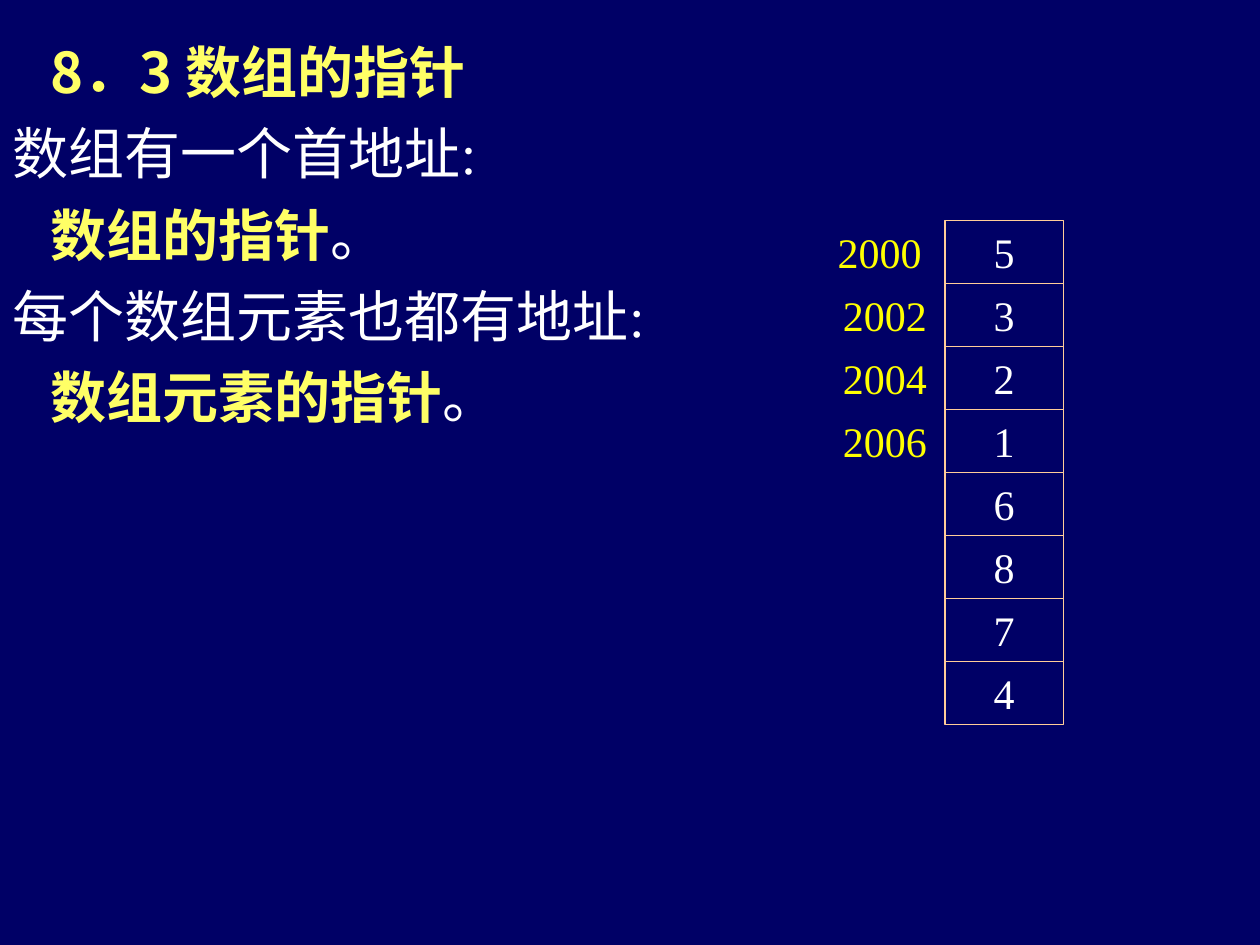
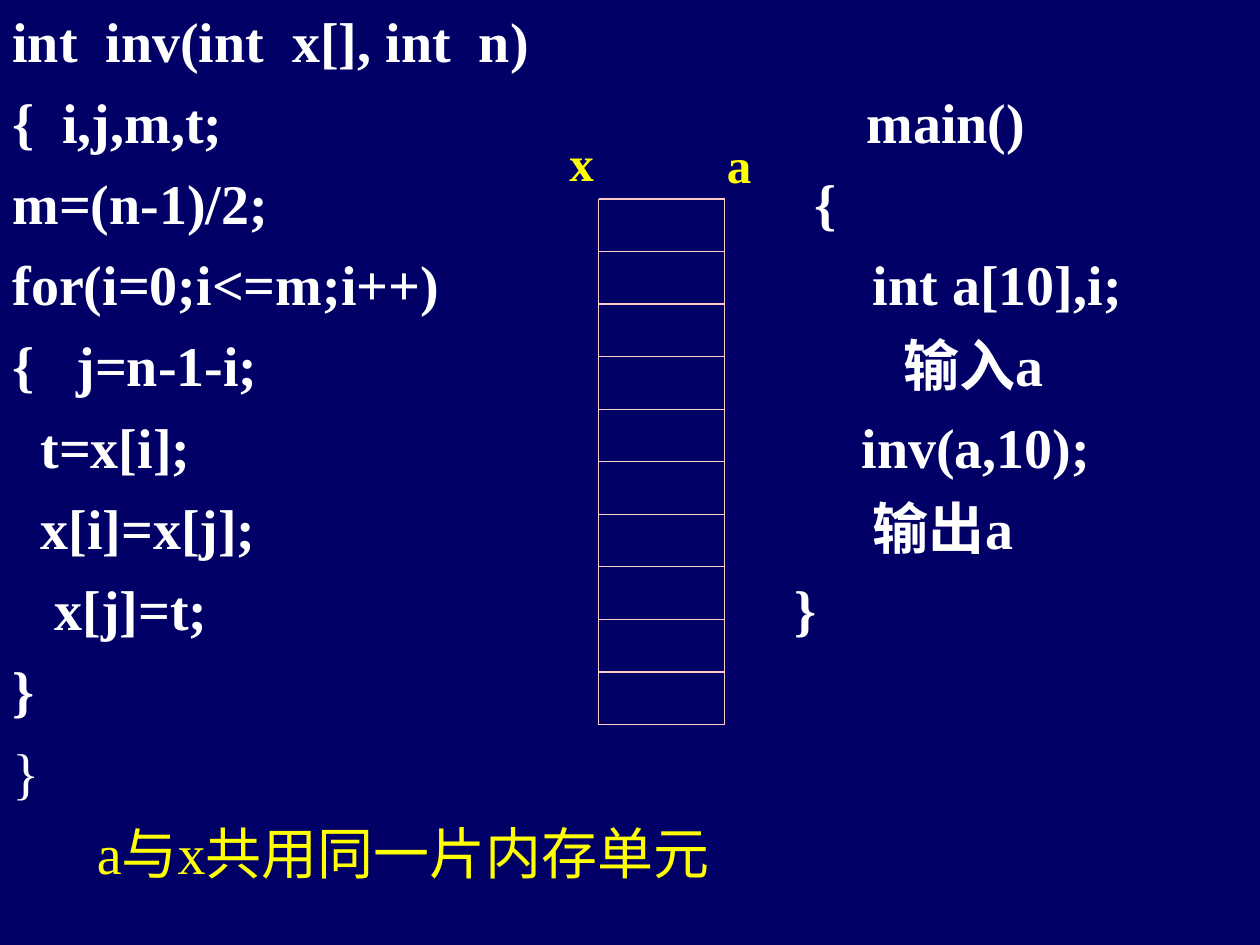
from lxml import etree
from pptx import Presentation, util as u
from pptx.dml.color import RGBColor
from pptx.enum import lang, shapes, text
from pptx.oxml.ns import qn

INK = {"back": "000066", "white": "FFFFFF", "gold": "FFFF66",
       "yellow": "FFFF00", "peach": "FFCC99", "pink": "FFCCCC"}
SERIF, SANS = "Times New Roman", "Noto Sans CJK SC"
SIZE = 32

INTRO = [
    (0.3, [("8．3 数组的指针", "gold", True, SANS)]),
    (0, [("数组有一个首地址:", "white", False, SERIF)]),
    (0.3, [("数组的指针", "gold", True, SERIF), ("。", "white", False, SERIF)]),
    (0, [("每个数组元素也都有地址:", "white", False, SERIF)]),
    (0.3, [("数组元素的指针", "gold", True, SERIF), ("。", "white", False, SERIF)]),
]
CELLS = [5, 3, 2, 1, 6, 8, 7, 4]
ADDRS = [(2000, 6.55), (2002, 6.59), (2004, 6.59), (2006, 6.59)]

CODE = [
    ("int  inv(int  x[], int  n)", "", 0),
    ("{  i,j,m,t;", "main()", 6.78),
    ("m=(n-1)/2;", "{", 6.37),
    ("for(i=0;i<=m;i++)", "int a[10],i;", 6.83),
    ("{   j=n-1-i;", "输入a", 7.07),
    ("  t=x[i];", "inv(a,10);", 6.74),
    ("  x[i]=x[j];", "输出a", 6.83),
    ("   x[j]=t;", "}", 6.21),
    ("}", "", 0),
]
NOTE = "a与x共用同一片内存单元"
NAMES = [("a", 5.67, 1.02), ("x", 4.42, 1)]
LEFT, RIGHT, TOP, BASE, ROWS = 4.75, 5.75, 1.58, 5.75, 10


def tint(name):
    return RGBColor.from_string(INK[name])


def add_run(para, words, hue, bold=False, face=SERIF, size=SIZE):
    run = para.add_run()
    run.text = words
    font = run.font
    font.size, font.bold, font.name = u.Pt(size), bold, face
    font.color.rgb = tint(hue)
    font.language_id = lang.MSO_LANGUAGE_ID.SIMPLIFIED_CHINESE
    east = etree.Element(qn("a:ea"), typeface=SANS)
    font._element.find(qn("a:latin")).addnext(east)


def add_box(slide, x, y, w, h, wrap=True):
    box = slide.shapes.add_textbox(*map(u.Inches, (x, y, w, h)))
    box.text_frame.word_wrap = wrap
    return box.text_frame


def add_line(frame, first, indent=0, stop=0):
    para = frame.paragraphs[0] if first else frame.add_paragraph()
    props = para._p.get_or_add_pPr()
    if indent:
        props.set("marL", str(u.Inches(indent)))
    if stop:
        tabs = etree.SubElement(props, qn("a:tabLst"))
        etree.SubElement(tabs, qn("a:tab"), pos=str(u.Inches(stop)), algn="l")
    para.line_spacing = u.Pt(38.4)
    if not first:
        para.space_before = u.Pt(8)
    return para


def add_label(slide, words, x, y, w, h, size, bold=False):
    frame = add_box(slide, x, y, w, h, wrap=False)
    frame.auto_size = text.MSO_AUTO_SIZE.SHAPE_TO_FIT_TEXT
    add_run(frame.paragraphs[0], words, "yellow", bold, size=size)


def add_cell(slide, words, x, y, w, h):
    cell = slide.shapes.add_shape(shapes.MSO_SHAPE.RECTANGLE,
                                  *map(u.Inches, (x, y, w, h)))
    cell.shadow.inherit = False
    cell.fill.background()
    cell.line.color.rgb = tint("peach")
    cell.line.width = u.Pt(0.75)
    frame = cell.text_frame
    frame.vertical_anchor = text.MSO_ANCHOR.MIDDLE
    frame.paragraphs[0].alignment = text.PP_ALIGN.CENTER
    add_run(frame.paragraphs[0], words, "white", size=24)


def add_rule(slide, *ends):
    rule = slide.shapes.add_connector(shapes.MSO_CONNECTOR.STRAIGHT,
                                      *map(u.Inches, ends))
    rule.line.color.rgb = tint("pink")
    rule.line.width = u.Pt(0.75)
    etree.SubElement(rule._element.spPr, qn("a:effectLst"))


def add_page(deck):
    slide = deck.slides.add_slide(deck.slide_layouts[6])
    slide.background.fill.solid()
    slide.background.fill.fore_color.rgb = tint("back")
    return slide


def build_intro(deck):
    slide = add_page(deck)
    frame = add_box(slide, 0, 0.25, 10, 6.92)
    for i, (indent, runs) in enumerate(INTRO):
        para = add_line(frame, i == 0, indent)
        for run in runs:
            add_run(para, *run)
    for i, value in enumerate(CELLS):
        add_cell(slide, str(value), 7.5, 1.75 + i * 0.5, 0.94, 0.5)
    for i, (addr, x) in enumerate(ADDRS):
        add_label(slide, str(addr), x, 1.75 + i * 0.5, 0.88, 0.5, 24)


def build_code(deck):
    slide = add_page(deck)
    frame = add_box(slide, 0, 0, 10, 7.5)
    for i, (code, main, stop) in enumerate(CODE):
        para = add_line(frame, i == 0, stop=stop)
        add_run(para, code + ("\t" + main if main else ""), "white", True)
    add_run(add_line(frame, False), "}", "white")
    add_run(add_line(frame, False, 0.67), NOTE, "yellow")
    for x in (LEFT, RIGHT):
        add_rule(slide, x, TOP, x, BASE)
    for i in range(ROWS + 1):
        y = TOP + i * (BASE - TOP) / ROWS
        add_rule(slide, LEFT, y, RIGHT, y)
    for name, x, y in NAMES:
        add_label(slide, name, x, y, 0.39, 0.57, 28, True)


def main():
    deck = Presentation()
    deck.slide_width, deck.slide_height = u.Inches(10), u.Inches(7.5)
    build_intro(deck)
    build_code(deck)
    deck.save("out.pptx")


if __name__ == "__main__":
    main()
